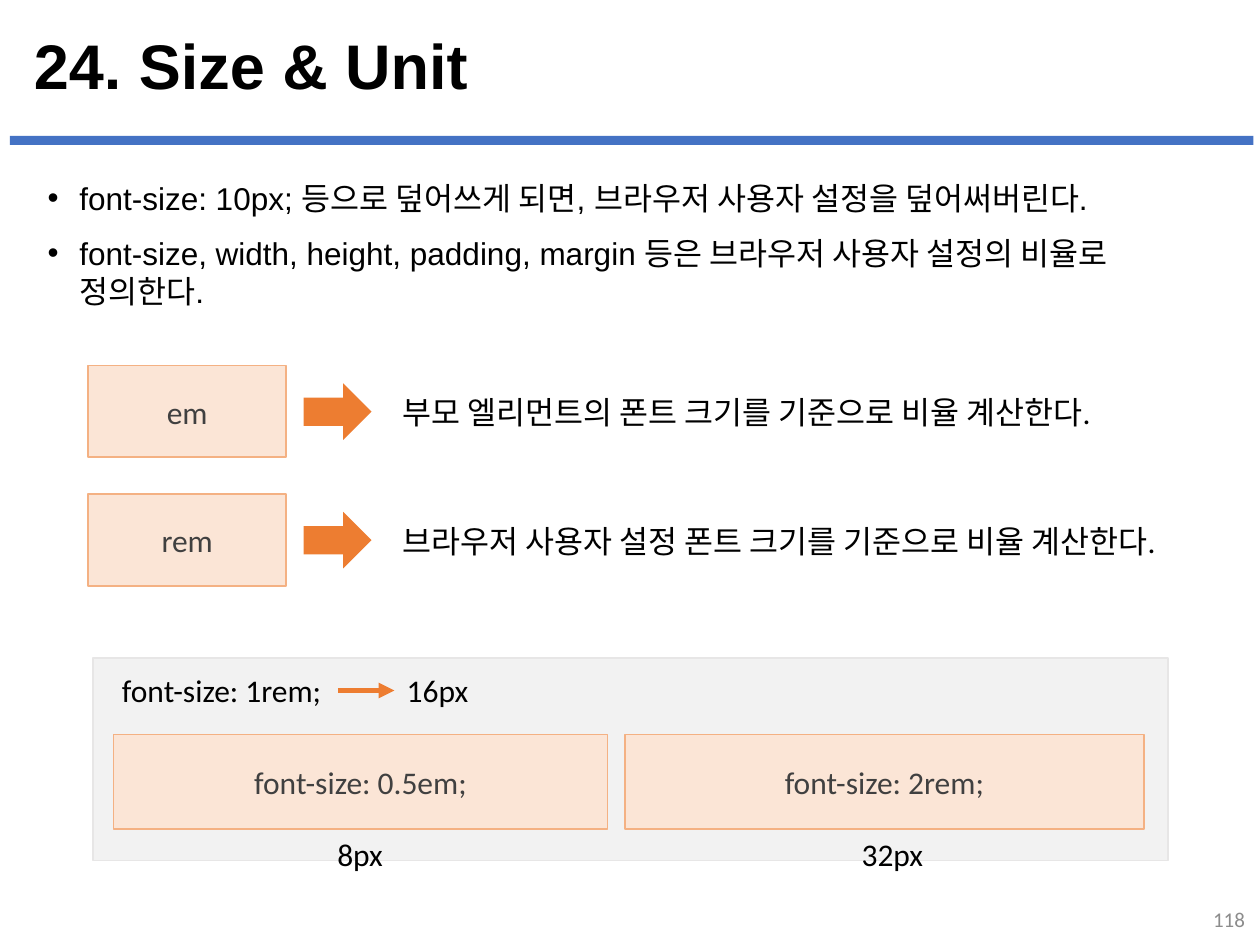
import pptx
import pptx.util
from lxml import etree
from pptx.dml.color import RGBColor
from pptx.enum.shapes import MSO_CONNECTOR, MSO_SHAPE
from pptx.enum.text import MSO_ANCHOR, MSO_AUTO_SIZE, PP_ALIGN
from pptx.oxml.ns import qn
from pptx.util import Cm

BLACK = RGBColor(0x00, 0x00, 0x00)
DARK = RGBColor(0x40, 0x40, 0x40)
GRAY = RGBColor(0x8C, 0x8C, 0x8C)
BLUE = RGBColor(0x44, 0x72, 0xC4)
ORANGE = RGBColor(0xED, 0x7D, 0x31)
PEACH = RGBColor(0xFB, 0xE5, 0xD6)
PEACH_LINE = RGBColor(0xF4, 0xB1, 0x83)
PANEL = RGBColor(0xF2, 0xF2, 0xF2)
PANEL_LINE = RGBColor(0xE7, 0xE6, 0xE6)

prs = pptx.Presentation()
prs.slide_width, prs.slide_height = Cm(25.4), Cm(19.05)
s = prs.slides.add_slide(prs.slide_layouts[5])


def add_block(x, y, w, h, fill, line=None, text="", kind=MSO_SHAPE.RECTANGLE):
    sp = s.shapes.add_shape(kind, Cm(x), Cm(y), Cm(w), Cm(h))
    sp.shadow.inherit = False
    sp.fill.solid()
    sp.fill.fore_color.rgb = fill
    if line is None:
        sp.line.fill.background()
    else:
        sp.line.color.rgb = line
        sp.line.width = pptx.util.Pt(1)
    if text:
        sp.text_frame.vertical_anchor = MSO_ANCHOR.MIDDLE
        p = sp.text_frame.paragraphs[0]
        p.text = text
        p.alignment = PP_ALIGN.CENTER
        p.font.name, p.font.size = "Calibri", pptx.util.Pt(18)
        p.font.color.rgb = DARK
    return sp


def add_label(x, y, w, text, size=18, color=BLACK):
    """Add a one-line text box that does not wrap."""
    sp = s.shapes.add_textbox(Cm(x), Cm(y), Cm(w), Cm(1.02))
    tf = sp.text_frame
    tf.word_wrap = False
    tf.auto_size = MSO_AUTO_SIZE.SHAPE_TO_FIT_TEXT
    p = tf.paragraphs[0]
    p.text = text
    p.font.name, p.font.size = "Calibri", pptx.util.Pt(size)
    p.font.color.rgb = color
    return sp


# Title and rule
add_block(0.2, 2.74, 25.07, 0.18, BLUE)
title = s.shapes.title
title.left, title.top, title.width, title.height = Cm(0.43), Cm(0.56), Cm(24.54), Cm(1.68)
title.text_frame.text = "24. Size & Unit"
title.text_frame.vertical_anchor = MSO_ANCHOR.MIDDLE
p = title.text_frame.paragraphs[0]
p.alignment = PP_ALIGN.LEFT
p.line_spacing = 0.9
p.font.name, p.font.size, p.font.bold = "Arial", pptx.util.Pt(36), True
p.font.color.rgb = BLACK

# Bullets
bullets = [
    "font-size: 10px; 등으로 덮어쓰게 되면, 브라우저 사용자 설정을 덮어써버린다.",
    "font-size, width, height, padding, margin 등은 브라우저 사용자 설정의 비율로 정의한다.",
]
tf = s.shapes.add_textbox(Cm(0.71), Cm(3.48), Cm(23.88), Cm(3.2)).text_frame
tf.word_wrap = True
for i, text in enumerate(bullets):
    p = tf.add_paragraph() if i else tf.paragraphs[0]
    p.text = text
    p.space_before = pptx.util.Pt(10)
    p.font.name, p.font.size = "Arial", pptx.util.Pt(18)
    p.font.color.rgb = BLACK
    pPr = p._p.get_or_add_pPr()
    pPr.set("marL", str(Cm(0.64)))
    pPr.set("indent", str(-Cm(0.64)))
    bullet_font = etree.Element(qn("a:buFont"), typeface="Arial")
    bullet_char = etree.Element(qn("a:buChar"), char="•")
    pPr.find(qn("a:spcBef")).addnext(bullet_font)
    bullet_font.addnext(bullet_char)

# Units and what they are relative to
units = [
    ("em", "부모 엘리먼트의 폰트 크기를 기준으로 비율 계산한다.", 15.67),
    ("rem", "브라우저 사용자 설정 폰트 크기를 기준으로 비율 계산한다.", 17.09),
]
for i, (unit, meaning, width) in enumerate(units):
    y = 7.37 + 2.59 * i
    add_block(1.78, y, 3.99, 1.85, PEACH, PEACH_LINE, unit)
    add_block(6.12, y + 0.36, 1.37, 1.14, ORANGE, kind=MSO_SHAPE.RIGHT_ARROW)
    add_label(7.87, y + 0.43, width, meaning)

# Worked example
add_block(1.88, 13.26, 21.67, 4.09, PANEL, PANEL_LINE)
add_block(2.29, 14.81, 9.96, 1.9, PEACH, PEACH_LINE, "font-size: 0.5em;")
add_block(12.6, 14.81, 10.46, 1.9, PEACH, PEACH_LINE, "font-size: 2rem;")
base = add_label(2.21, 13.41, 4.6, "font-size: 1rem;")
base_px = add_label(7.95, 13.41, 1.75, "16px")
add_label(6.55, 16.71, 1.45, "8px")
add_label(17.12, 16.71, 1.75, "32px")

arrow = s.shapes.add_connector(MSO_CONNECTOR.STRAIGHT, Cm(6.81), Cm(13.92), Cm(7.95), Cm(13.92))
arrow.begin_connect(base, 3)
arrow.end_connect(base_px, 1)
arrow.line.color.rgb = ORANGE
arrow.line.width = pptx.util.Pt(3)
etree.SubElement(arrow.line._get_or_add_ln(), qn("a:tailEnd"), type="triangle")
etree.SubElement(arrow._element.spPr, qn("a:effectLst"))

# Page number
number = add_label(19.63, 18.01, 5.72, "118", 12, GRAY)
number.text_frame.word_wrap = True
number.text_frame.auto_size = MSO_AUTO_SIZE.NONE
number.text_frame.vertical_anchor = MSO_ANCHOR.MIDDLE
number.text_frame.paragraphs[0].alignment = PP_ALIGN.RIGHT

prs.save("out.pptx")
